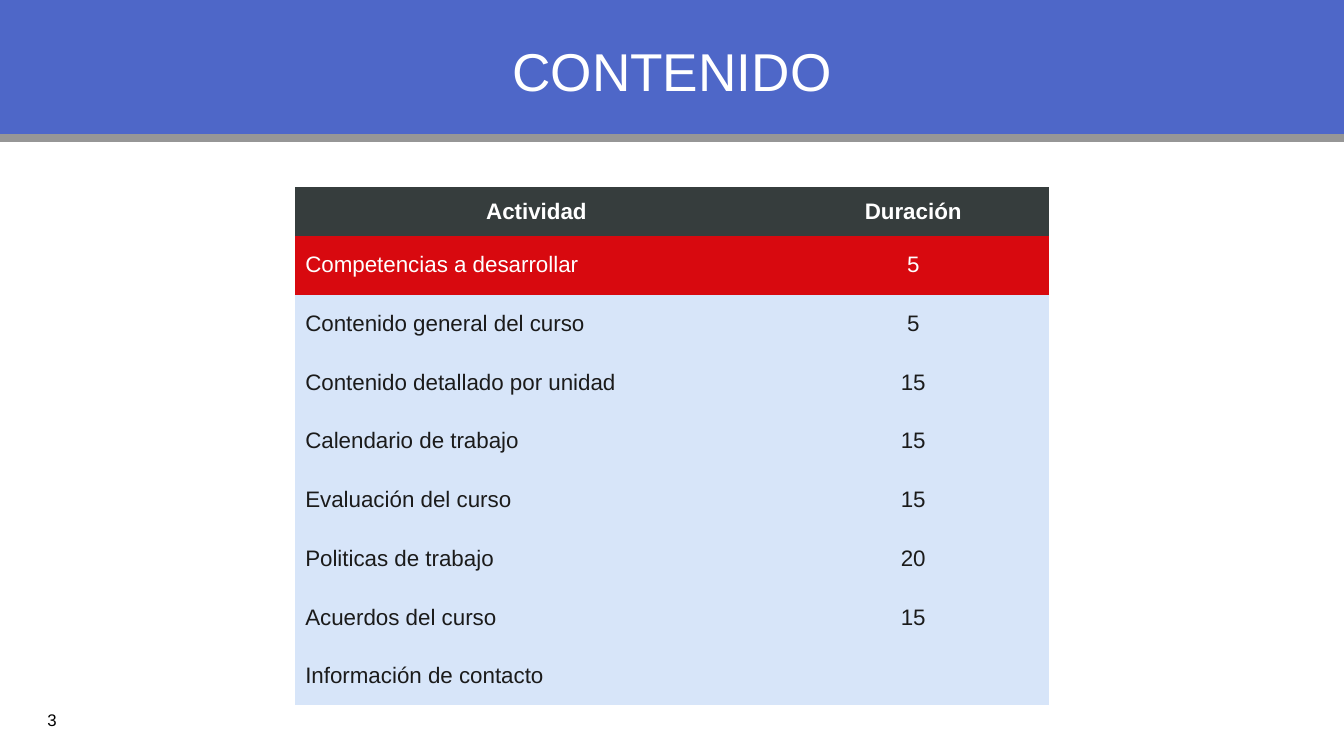
from lxml.etree import SubElement
from pptx import Presentation
from pptx.dml.color import RGBColor
from pptx.enum.shapes import MSO_CONNECTOR, MSO_SHAPE
from pptx.enum.text import MSO_ANCHOR, PP_ALIGN
from pptx.oxml.ns import qn
from pptx.util import Inches, Pt

BLUE = RGBColor(0x4E, 0x67, 0xC8)
GRAY = RGBColor(0x96, 0x96, 0x96)
CHARCOAL = RGBColor(0x36, 0x3D, 0x3D)
RED = RGBColor(0xD8, 0x09, 0x0F)
PALE_BLUE = RGBColor(0xD7, 0xE5, 0xF9)
INK = RGBColor(0x1B, 0x1B, 0x1B)
WHITE = RGBColor(0xFF, 0xFF, 0xFF)
BLACK = RGBColor(0x00, 0x00, 0x00)

FONT = "Arial"
SLIDE_WIDTH, SLIDE_HEIGHT = 13.34, 7.5
PLAIN_TABLE_STYLE = "{2D5ABB26-0587-4C30-8999-92F81FD0307C}"

AGENDA = [
    ("Actividad", "Duración"),
    ("Competencias a desarrollar", "5"),
    ("Contenido general del curso", "5"),
    ("Contenido detallado por unidad", "15"),
    ("Calendario de trabajo", "15"),
    ("Evaluación del curso", "15"),
    ("Politicas de trabajo", "20"),
    ("Acuerdos del curso", "15"),
    ("Información de contacto", ""),
]


def format_paragraph(paragraph, size, color, alignment, bold=False):
    paragraph.alignment = alignment
    font = paragraph.font
    font.name = FONT
    font.size = Pt(size)
    font.bold = bold
    font.color.rgb = color


def add_header(slide, left, top, width, height, text):
    """Place the blue band, its gray rule and the title over them."""
    band = slide.shapes.add_shape(MSO_SHAPE.RECTANGLE, Inches(left), Inches(top),
                                  Inches(width), Inches(height))
    band.shadow.inherit = False
    band.fill.solid()
    band.fill.fore_color.rgb = BLUE
    band.line.fill.background()

    rule_top = Inches(top + height + 0.01)
    rule = slide.shapes.add_connector(MSO_CONNECTOR.STRAIGHT, Inches(left), rule_top,
                                      Inches(left + width), rule_top)
    rule.line.color.rgb = GRAY
    rule.line.width = Pt(6)
    SubElement(rule.element.spPr, qn("a:effectLst"))

    title = slide.shapes.title
    slide.shapes.element.append(title.element)  # bring the title in front of the band
    title.left, title.top = Inches(left + 1.17), Inches(top + 0.14)
    title.width, title.height = Inches(11), Inches(1.2)
    title.text_frame.text = text
    title.text_frame.vertical_anchor = MSO_ANCHOR.MIDDLE
    paragraph = title.text_frame.paragraphs[0]
    paragraph.line_spacing = 0.9
    format_paragraph(paragraph, 38, WHITE, PP_ALIGN.CENTER)


def add_agenda(slide, left, top, width, height):
    """Fill a two-column table; the first activity is highlighted."""
    shape = slide.shapes.add_table(len(AGENDA), 2, Inches(left), Inches(top),
                                   Inches(width), Inches(height))
    table = shape.table
    table.first_row = table.horz_banding = False
    table._tbl.tblPr.find(qn("a:tableStyleId")).text = PLAIN_TABLE_STYLE

    activity_width, header_height = 4.79, 0.48
    table.columns[0].width = Inches(activity_width)
    table.columns[1].width = Inches(width - activity_width)
    row_height = (height - header_height) / (len(AGENDA) - 1)

    row_styles = {0: (CHARCOAL, WHITE), 1: (RED, WHITE)}
    for row, values in enumerate(AGENDA):
        is_header = row == 0
        table.rows[row].height = Inches(header_height if is_header else row_height)
        fill, color = row_styles.get(row, (PALE_BLUE, INK))
        for column, value in enumerate(values):
            cell = table.cell(row, column)
            cell.text = value
            cell.vertical_anchor = MSO_ANCHOR.MIDDLE
            cell.fill.solid()
            cell.fill.fore_color.rgb = fill
            centered = is_header or column == 1
            alignment = PP_ALIGN.CENTER if centered else PP_ALIGN.JUSTIFY
            format_paragraph(cell.text_frame.paragraphs[0], 16, color, alignment, is_header)


def add_page_number(slide, left, top, width, height, number):
    box = slide.shapes.add_textbox(Inches(left), Inches(top), Inches(width), Inches(height))
    frame = box.text_frame
    frame.word_wrap = True
    frame.vertical_anchor = MSO_ANCHOR.MIDDLE
    frame.text = number
    format_paragraph(frame.paragraphs[0], 12, BLACK, PP_ALIGN.RIGHT)


def main():
    presentation = Presentation()
    presentation.slide_width = Inches(SLIDE_WIDTH)
    presentation.slide_height = Inches(SLIDE_HEIGHT)
    title_only = presentation.slide_layouts[5]
    slide = presentation.slides.add_slide(title_only)
    add_header(slide, 0, 0, SLIDE_WIDTH, 1.36, "CONTENIDO")
    add_page_number(slide, 0.09, 6.99, 0.57, 0.3, "3")
    add_agenda(slide, 2.93, 1.86, 7.48, 5.14)
    presentation.save("out.pptx")


if __name__ == "__main__":
    main()
